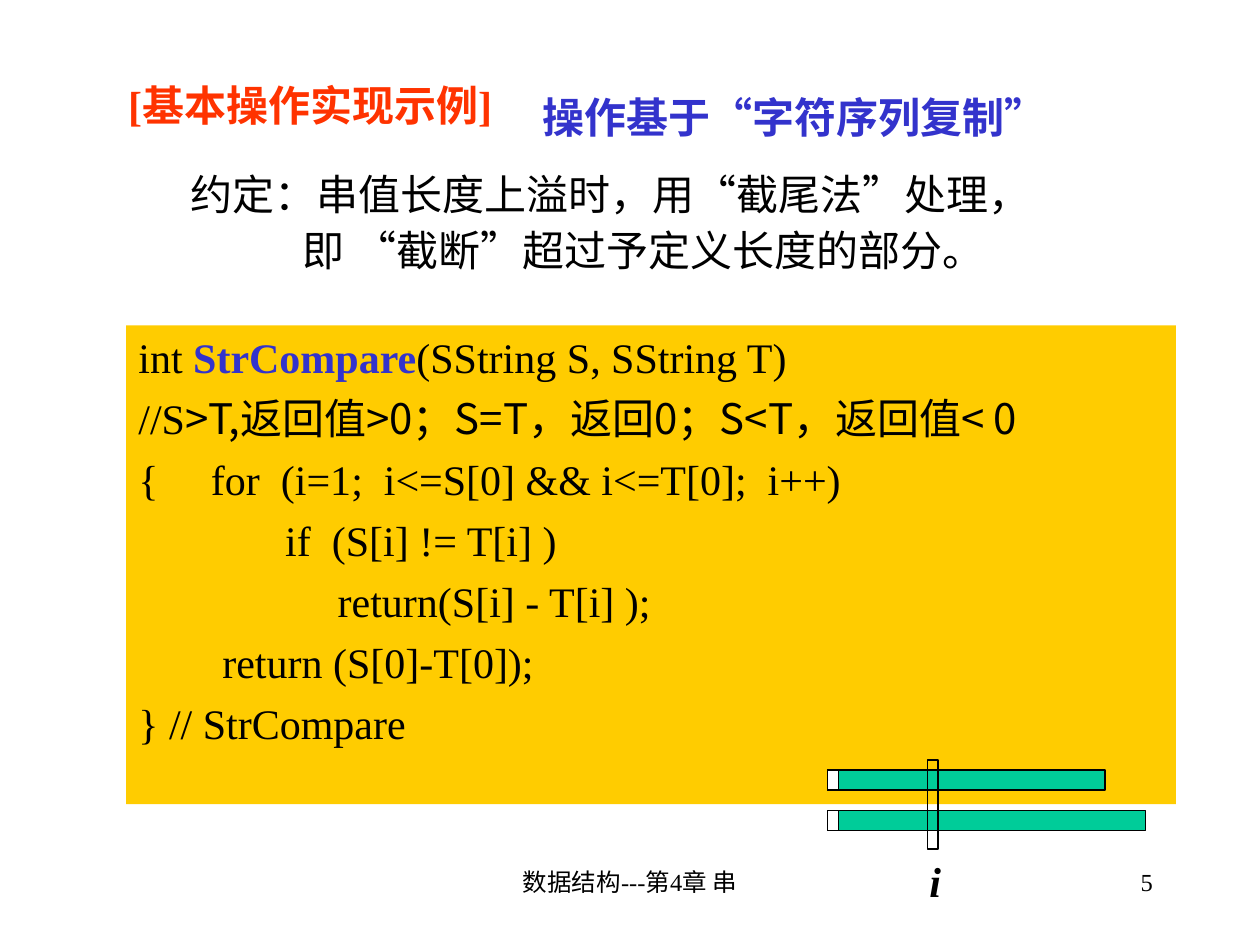
import pptx
import pptx.dml.color
import pptx.enum.shapes
import pptx.enum.text
import pptx.oxml.ns
import pptx.util
from lxml import etree

Pt = pptx.util.Pt
Align = pptx.enum.text.PP_ALIGN
SERIF = "Times New Roman"
SANS = "Noto Sans CJK SC"
BLACK, BLUE, RED = "000000", "3333CC", "FF3300"


def color(value):
    return pptx.dml.color.RGBColor.from_string(value)


def write(shape, lines, size=24, align=Align.LEFT, space=0, spacing=None):
    """Fill the shape with lines, each a list of (text, colour, bold, font) runs."""
    frame = shape.text_frame
    frame.word_wrap = True
    frame.auto_size = pptx.enum.text.MSO_AUTO_SIZE.NONE
    frame.vertical_anchor = pptx.enum.text.MSO_ANCHOR.TOP
    for index, runs in enumerate(lines):
        paragraph = frame.add_paragraph() if index else frame.paragraphs[0]
        paragraph.alignment = align
        paragraph.space_before = Pt(space if index else 0)
        if spacing:
            paragraph.line_spacing = spacing
        for text, run_color, bold, name in runs:
            run = paragraph.add_run()
            run.text = text
            run.font.size = Pt(size)
            run.font.bold = bold
            run.font.name = name
            run.font.color.rgb = color(run_color)
            east_asian = etree.SubElement(run.font._element, pptx.oxml.ns.qn("a:ea"))
            east_asian.set("typeface", SANS)


presentation = pptx.Presentation()
presentation.slide_width, presentation.slide_height = Pt(720), Pt(540)
slide = presentation.slides.add_slide(presentation.slide_layouts[5])
shapes = slide.shapes

# Title
title = shapes.title
title.left, title.top, title.width, title.height = Pt(66), Pt(42), Pt(252), Pt(36)
write(title, [[("[基本操作实现示例]", RED, True, SERIF)]])

# Convention
convention = shapes.add_textbox(Pt(66), Pt(96), Pt(552), Pt(91.5))
write(convention, [
    [("约定：串值长度上溢时，用“截尾法”处理，", BLACK, False, SERIF)],
    [("即 “截断”超过予定义长度的部分。", BLACK, False, SERIF)],
], space=6, spacing=0.9)
for paragraph, indent in zip(convention.text_frame.paragraphs, (36, 100)):
    properties = paragraph._p.get_or_add_pPr()
    properties.set("marL", str(Pt(indent)))
    properties.set("indent", "0")

# Code panel
code_panel = shapes.add_shape(pptx.enum.shapes.MSO_SHAPE.RECTANGLE,
                              Pt(72), Pt(186), Pt(600), Pt(273.6))
code_panel.shadow.inherit = False
code_panel.fill.solid()
code_panel.fill.fore_color.rgb = color("FFCC00")
code_panel.line.fill.background()
code_lines = [
    [("int ", BLACK, False, SERIF),
     ("StrCompare", BLUE, True, SERIF),
     ("(SString S, SString T)", BLACK, False, SERIF)],
    [("//S", BLACK, False, SERIF),
     (">T,返回值>0；S=T，返回0；S<T，返回值< 0", BLACK, False, SANS)],
]
code_lines += [[(text, BLACK, False, SERIF)] for text in (
    "{     for  (i=1;  i<=S[0] && i<=T[0];  i++)",
    "              if  (S[i] != T[i] )",
    "                   return(S[i] - T[i] );",
    "        return (S[0]-T[0]);",
    "} // StrCompare",
)]
write(code_panel, code_lines, space=6)

# Two strings with their length cells, and the position marker across them
bars = [
    (473, 440, 158.5, 11.5, "00CC99"),
    (473, 463, 181.5, 11.5, "00CC99"),
    (473, 440, 6, 11.5, "FFFFFF"),
    (473, 463, 6, 11.5, "FFFFFF"),
    (530, 434.25, 6, 51, None),
]
for left, top, width, height, fill in bars:
    bar = shapes.add_shape(pptx.enum.shapes.MSO_SHAPE.RECTANGLE,
                           Pt(left), Pt(top), Pt(width), Pt(height))
    bar.shadow.inherit = False
    if fill:
        bar.fill.solid()
        bar.fill.fore_color.rgb = color(fill)
    else:
        bar.fill.background()
    bar.line.color.rgb = color(BLACK)
    bar.line.width = Pt(0.75)

# Labels: subtitle, marker name, footer, page number
labels = [
    (303, 49, 329, "操作基于“字符序列复制”", 24, BLUE, True, Align.LEFT),
    (524, 485.5, 23, "i", 24, BLACK, True, Align.LEFT),
    (246, 492, 228, "数据结构---第4章 串", 14, BLACK, False, Align.CENTER),
    (516, 492, 150, "5", 14, BLACK, False, Align.RIGHT),
]
for left, top, width, text, size, text_color, bold, align in labels:
    label = shapes.add_textbox(Pt(left), Pt(top), Pt(width), Pt(36))
    write(label, [[(text, text_color, bold, SERIF)]], size, align)
    label.text_frame.paragraphs[0].runs[0].font.italic = text == "i"

presentation.save("out.pptx")
